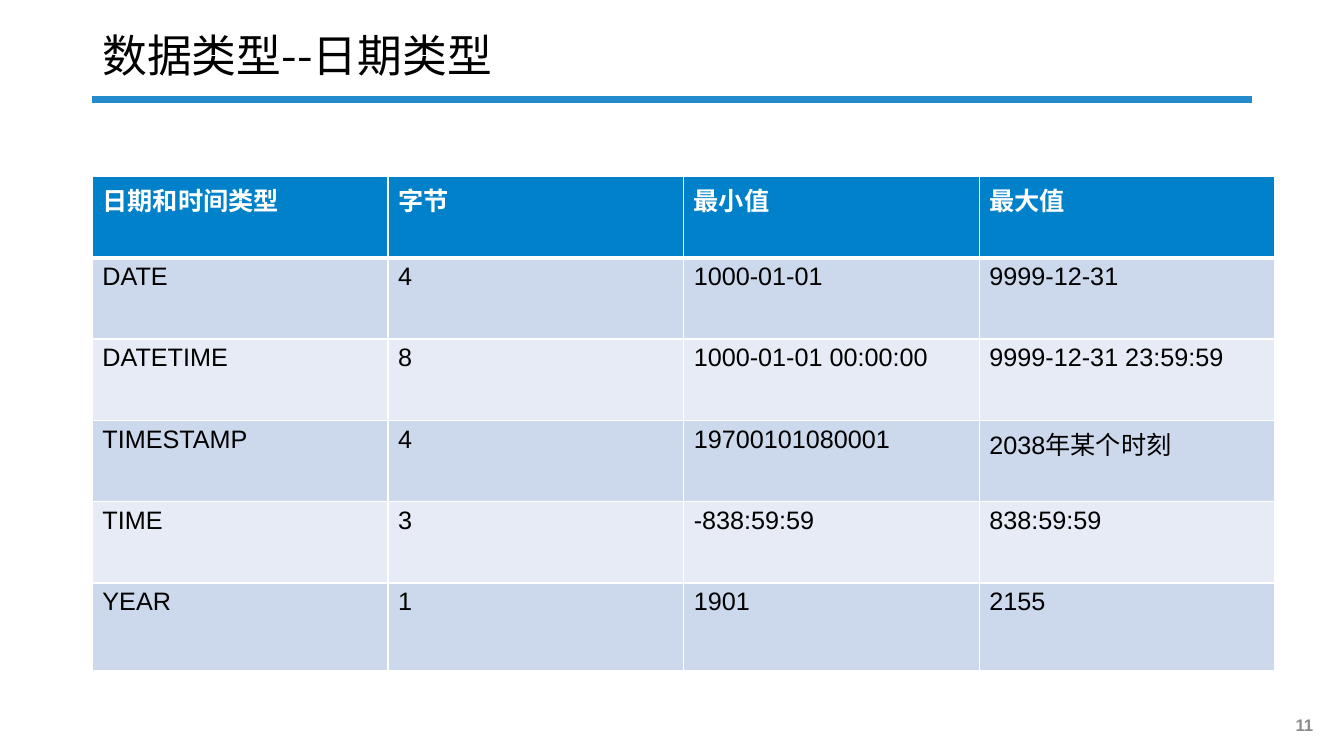
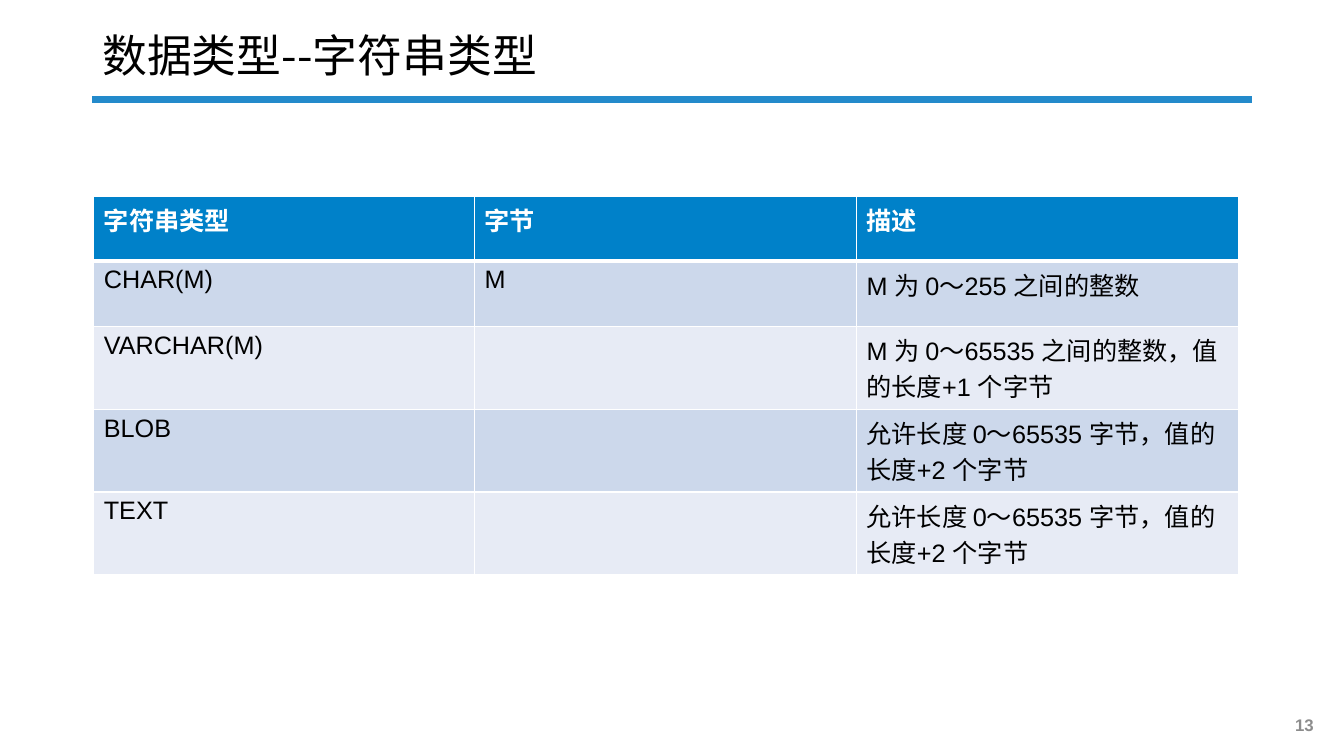
from lxml import etree
from pptx import Presentation
from pptx.dml.color import RGBColor
from pptx.enum import shapes, text
from pptx.oxml import ns
from pptx.util import Pt

# Shared look
LATIN, HAN = "Arial", "Noto Sans CJK SC"
COLOURS = {"rule": "238ACB", "head": "0081C9", "odd": "CCD8EB",
           "even": "E7EBF5", "border": "FFFFFF"}
TITLE = {"name": HAN, "size": Pt(32), "color": "000000"}
NUMBER = {"name": LATIN, "size": Pt(12), "color": "8C8C8C", "bold": True}
HEAD = {"name": LATIN, "size": Pt(18), "color": "FFFFFF", "bold": True}
BODY = {"name": LATIN, "size": Pt(18), "color": "000000", "bold": False}

# Boxes: left, top, width, height
TITLE_BOX = (66, 14.4, 828, 54.7)
NUMBER_BOX = (910.5, 503.3, 42.5, 28.8)

# Row heights of the string table: one and two lines of text
ONE_LINE, TWO_LINES = 46.5, 59.25

PAGES = [
    {"title": "数据类型--日期类型", "number": "11", "corner": (66, 126),
     "columns": [211.2] * 4, "heights": [58.1] * 5 + [62.6],
     "rows": [
         ["日期和时间类型", "字节", "最小值", "最大值"],
         ["DATE", "4", "1000-01-01", "9999-12-31"],
         ["DATETIME", "8", "1000-01-01 00:00:00", "9999-12-31 23:59:59"],
         ["TIMESTAMP", "4", "19700101080001", "2038年某个时刻"],
         ["TIME", "3", "-838:59:59", "838:59:59"],
         ["YEAR", "1", "1901", "2155"]]},
    {"title": "数据类型--字符串类型", "number": "13", "corner": (67, 140),
     "columns": [272, 272.8, 272.8],
     "heights": [ONE_LINE] * 2 + [TWO_LINES] * 3,
     "rows": [
         ["字符串类型", "字节", "描述"],
         ["CHAR(M)", "M", "M 为 0～255 之间的整数"],
         ["VARCHAR(M)", "", "M 为 0～65535 之间的整数，值的长度+1 个字节"],
         ["BLOB", "", "允许长度 0～65535 字节，值的长度+2 个字节"],
         ["TEXT", "", "允许长度 0～65535 字节，值的长度+2 个字节"]]},
]


def colour(code):
    return RGBColor.from_string(code)


def write(frame, words, style):
    """Put one formatted paragraph into a text frame."""
    para = frame.paragraphs[0]
    span = para.add_run()
    span.text = words
    for key, value in style.items():
        if key == "color":
            span.font.color.rgb = colour(value)
        else:
            setattr(span.font, key, value)
    # The East Asian font follows the Latin one
    han = etree.Element(ns.qn("a:ea"), typeface=HAN)
    span.font._element.find(ns.qn("a:latin")).addnext(han)
    return para


def add_text(page, area, words, style):
    box = page.shapes.add_textbox(*map(Pt, area))
    frame = box.text_frame
    frame.word_wrap = True
    frame.vertical_anchor = text.MSO_ANCHOR.MIDDLE
    return write(frame, words, style)


def add_title(page, area, words):
    """Title with the rule just below its box."""
    left, top, width, height = area
    y = top + height + 2
    rule = page.shapes.add_connector(shapes.MSO_CONNECTOR.STRAIGHT,
                                     Pt(left), Pt(y), Pt(left + width), Pt(y))
    rule.line.color.rgb = colour(COLOURS["rule"])
    rule.line.width = Pt(4.5)
    etree.SubElement(rule._element.spPr, ns.qn("a:effectLst"))
    add_text(page, area, words, TITLE).line_spacing = 0.9


def add_number(page, area, words):
    add_text(page, area, words, NUMBER).alignment = text.PP_ALIGN.CENTER


def set_borders(cell, widths):
    """Draw the cell edges; they stand before the fill in the XML."""
    properties = cell._tc.get_or_add_tcPr()
    for place, (side, width) in enumerate(widths.items()):
        edge = etree.Element(ns.qn("a:ln" + side), w=str(Pt(width)))
        fill = etree.SubElement(edge, ns.qn("a:solidFill"))
        etree.SubElement(fill, ns.qn("a:srgbClr"), val=COLOURS["border"])
        properties.insert(place, edge)


def add_grid(page, corner, columns, heights, rows):
    """Table with a header row and alternating body rows."""
    area = (*corner, sum(columns), sum(heights))
    grid = page.shapes.add_table(len(rows), len(columns), *map(Pt, area)).table
    for column, width in zip(grid.columns, columns):
        column.width = Pt(width)
    for index, (row, height, words) in enumerate(zip(grid.rows, heights, rows)):
        row.height = Pt(height)
        band = "head" if index == 0 else "odd" if index % 2 else "even"
        widths = {"L": 1, "R": 1, "T": 3 if index == 1 else 1,
                  "B": 3 if index == 0 else 1}
        for cell, entry in zip(row.cells, words):
            cell.fill.solid()
            cell.fill.fore_color.rgb = colour(COLOURS[band])
            set_borders(cell, widths)
            if entry:
                write(cell.text_frame, entry, BODY if index else HEAD)


def main():
    deck = Presentation()
    deck.slide_width, deck.slide_height = Pt(960), Pt(540)
    for content in PAGES:
        page = deck.slides.add_slide(deck.slide_layouts[6])
        add_title(page, TITLE_BOX, content["title"])
        add_number(page, NUMBER_BOX, content["number"])
        add_grid(page, content["corner"], content["columns"],
                 content["heights"], content["rows"])
    deck.save("out.pptx")


if __name__ == "__main__":
    main()
